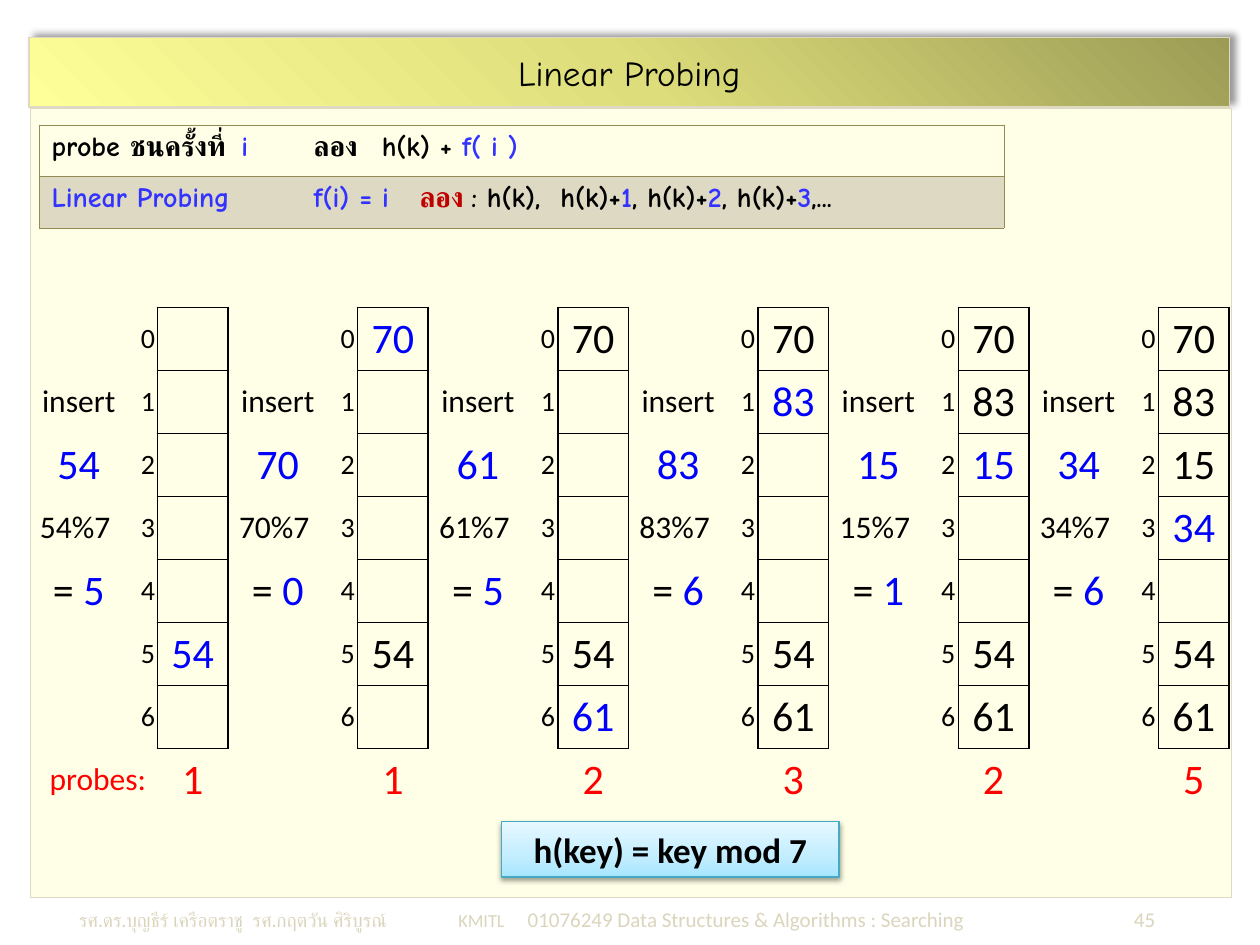
import dataclasses

import lxml.etree
import pptx
import pptx.dml.color
import pptx.enum.shapes
import pptx.enum.text
import pptx.oxml.ns
import pptx.util

Inches = pptx.util.Inches
Pt = pptx.util.Pt
qn = pptx.oxml.ns.qn
Align = pptx.enum.text.PP_ALIGN
Anchor = pptx.enum.text.MSO_ANCHOR


@dataclasses.dataclass
class Theme:
    black: str = "000000"
    blue: str = "0000FF"
    violet: str = "3333FF"
    red: str = "FF0000"
    dark_red: str = "C00000"
    cream: str = "FFFFE7"
    sand: str = "DDD9C3"
    olive: str = "948A54"
    footer: str = "DAD5BC"
    teal: str = "46AAC5"
    title_stops: tuple = ((0, "9C9C56"), (50, "DDDD7B"), (100, "FFFF99"))
    callout_stops: tuple = ((0, "A7E6FF"), (35, "C1EDFF"), (100, "E7F8FF"))
    body_font: str = "Calibri"
    display_font: str = "Comic Neue"
    footer_font: str = "Lato"
    heading: int = 20
    rule: int = 16
    value: int = 24
    label: int = 18
    index: int = 16
    no_grid: str = "{2D5ABB26-0587-4C30-8999-92F81FD0307C}"


def rgb(value):
    return pptx.dml.color.RGBColor.from_string(value)


def add_element(parent, tag, **attributes):
    values = {name: str(value) for name, value in attributes.items()}
    return lxml.etree.SubElement(parent, qn(tag), values)


def write(paragraph, text, size=18, color="000000", font="Calibri", bold=False, align=None):
    if align is not None:
        paragraph.alignment = align
    run = paragraph.add_run()
    run.text = text
    run.font.size = Pt(size)
    run.font.name = font
    run.font.bold = bold
    run.font.color.rgb = rgb(color)


def set_tabs(paragraph, stops):
    tabs = add_element(paragraph._p.get_or_add_pPr(), "a:tabLst")
    for position, alignment in stops:
        add_element(tabs, "a:tab", pos=Inches(position), algn=alignment)


class SlideBuilder:
    def __init__(self, slide, theme):
        self.slide = slide
        self.theme = theme

    def outline(self, shape, color, width):
        shape.line.color.rgb = rgb(color)
        shape.line.width = Pt(width)
        shape.shadow.inherit = False

    def gradient(self, shape, stops, angle):
        shape.fill.gradient()
        gradient = shape._element.spPr.find(qn("a:gradFill"))
        for child in list(gradient):
            gradient.remove(child)
        stop_list = add_element(gradient, "a:gsLst")
        for position, color in stops:
            stop = add_element(stop_list, "a:gs", pos=position * 1000)
            add_element(stop, "a:srgbClr", val=color)
        add_element(gradient, "a:lin", ang=angle * 60000, scaled=0)

    def shadow(self, shape, opacity, blur, distance, angle):
        effects = shape._element.spPr.find(qn("a:effectLst"))
        shadow = add_element(effects, "a:outerShdw", blurRad=Pt(blur), dist=Pt(distance),
                             dir=angle * 60000, algn="ctr", rotWithShape=0)
        color = add_element(shadow, "a:srgbClr", val=self.theme.black)
        add_element(color, "a:alpha", val=opacity * 1000)

    def rectangle(self, left, top, width, height):
        return self.slide.shapes.add_shape(
            pptx.enum.shapes.MSO_SHAPE.RECTANGLE,
            Inches(left), Inches(top), Inches(width), Inches(height))

    def panel(self, *box):
        shape = self.rectangle(*box)
        shape.fill.solid()
        shape.fill.fore_color.rgb = rgb(self.theme.cream)
        self.outline(shape, self.theme.sand, 0.25)

    def title(self, text, left, top, width, height):
        shape = self.slide.shapes.title
        shape.left, shape.top = Inches(left), Inches(top)
        shape.width, shape.height = Inches(width), Inches(height)
        self.gradient(shape, self.theme.title_stops, 135)
        self.outline(shape, self.theme.sand, 0.75)
        self.shadow(shape, 40, 4, 3, 315)
        shape.text_frame.vertical_anchor = Anchor.MIDDLE
        write(shape.text_frame.paragraphs[0], text, size=self.theme.heading,
              font=self.theme.display_font, align=Align.CENTER)

    def callout(self, text, *box):
        shape = self.rectangle(*box)
        self.gradient(shape, self.theme.callout_stops, 270)
        self.outline(shape, self.theme.teal, 0.75)
        self.shadow(shape, 38, 3.1, 1.6, 90)
        shape.text_frame.vertical_anchor = Anchor.MIDDLE
        write(shape.text_frame.paragraphs[0], text, size=self.theme.heading,
              bold=True, align=Align.CENTER)

    def footer(self, pieces, stops, left, top, width, height):
        box = self.slide.shapes.add_textbox(
            Inches(left), Inches(top), Inches(width), Inches(height))
        box.text_frame.word_wrap = True
        box.text_frame.vertical_anchor = Anchor.MIDDLE
        paragraph = box.text_frame.paragraphs[0]
        set_tabs(paragraph, stops)
        for text, size, font in pieces:
            write(paragraph, text, size=size, font=font, color=self.theme.footer)

    def table(self, left, top, widths, heights):
        frame = self.slide.shapes.add_table(
            len(heights), len(widths), Inches(left), Inches(top),
            Inches(sum(widths)), Inches(sum(heights)))
        table = frame.table
        table.first_row = table.horz_banding = False
        table._tbl.tblPr.find(qn("a:tableStyleId")).text = self.theme.no_grid
        for column, width in zip(table.columns, widths):
            column.width = Inches(width)
        for row, height in zip(table.rows, heights):
            row.height = Inches(height)
        return table

    def border(self, cell, color, width):
        properties = cell._tc.get_or_add_tcPr()
        for side in ("a:lnL", "a:lnR", "a:lnT", "a:lnB"):
            line = add_element(properties, side, w=Pt(width))
            add_element(add_element(line, "a:solidFill"), "a:srgbClr", val=color)

    def cell(self, cell, pieces, align=Align.CENTER, left=0, right=0):
        cell.margin_left, cell.margin_right = Inches(left), Inches(right)
        cell.margin_top = cell.margin_bottom = Inches(0.04)
        cell.vertical_anchor = Anchor.MIDDLE
        for text, size, color in pieces:
            write(cell.text_frame.paragraphs[0], text, size=size, color=color, align=align)

    def rules(self, rows, left, top):
        table = self.table(left, top, [7.66], [0.41] * len(rows))
        for index, (pieces, stops, fill) in enumerate(rows):
            cell = table.cell(index, 0)
            self.border(cell, self.theme.olive, 0.25)
            if fill:
                cell.fill.solid()
                cell.fill.fore_color.rgb = rgb(fill)
            paragraph = cell.text_frame.paragraphs[0]
            set_tabs(paragraph, [(stop, "l") for stop in stops])
            for text, color in pieces:
                write(paragraph, text, size=self.theme.rule, color=color,
                      font=self.theme.display_font, bold=True)

    def probing(self, keys, size, left, top):
        theme = self.theme
        table = self.table(left, top, [0.79, 0.23, 0.56] * len(keys), [0.5] * (size + 1))
        slots = [None] * size
        for step, key in enumerate(keys):
            home = key % size
            probes = 1
            while slots[(home + probes - 1) % size] is not None:
                probes += 1
            slots[(home + probes - 1) % size] = key
            first = step * 3
            notes = {
                1: [("insert", theme.label, theme.black)],
                2: [(str(key), theme.value, theme.blue)],
                3: [(f"{key}%{size} ", theme.label, theme.black)],
                4: [("= ", theme.value, theme.black), (str(home), theme.value, theme.blue)],
            }
            for row, slot in enumerate(slots):
                self.cell(table.cell(row, first), notes.get(row, []))
                self.cell(table.cell(row, first + 1),
                          [(str(row), theme.index, theme.black)], left=0.08)
                color = theme.blue if slot == key else theme.black
                value = [] if slot is None else [(str(slot), theme.value, color)]
                self.cell(table.cell(row, first + 2), value)
                self.border(table.cell(row, first + 2), theme.black, 1)
            self.cell(table.cell(size, first + 2), [(str(probes), theme.value, theme.red)])
        table.cell(size, 0).merge(table.cell(size, 1))
        self.cell(table.cell(size, 0), [("probes:", theme.label, theme.red)],
                  align=Align.RIGHT, right=0.09)


def main():
    presentation = pptx.Presentation()
    presentation.slide_width, presentation.slide_height = Inches(10), Inches(7.5)
    theme = Theme()
    builder = SlideBuilder(presentation.slides.add_slide(presentation.slide_layouts[5]), theme)
    black, violet = theme.black, theme.violet

    builder.panel(0.24, 0.86, 9.53, 6.26)
    builder.footer(
        [("รศ.ดร.บุญธีร์ เครือตราชู  รศ.กฤตวัน ศิริบูรณ์", 11, theme.footer_font),
         ("\tKMITL", 10.5, theme.body_font),
         ("\t01076249 Data Structures & Algorithms : Searching\t45", 12, theme.body_font)],
        [(3.01, "l"), (3.56, "l"), (8.54, "r")], 0.53, 7.11, 8.98, 0.37)
    builder.title("Linear Probing", 0.23, 0.3, 9.53, 0.55)
    builder.callout("h(key) = key mod 7", 3.98, 6.52, 2.68, 0.44)

    probe_rule = [("probe ชนครั้งที่  ", black), ("i", violet),
                  ("\tลอง\th(k) + ", black), ("f( i )", violet)]
    linear_rule = [("Linear Probing\tf(i) = i", violet), ("\tลอง", theme.dark_red),
                   (" : h(k),  h(k)+", black), ("1", violet)]
    for offset in "23":
        linear_rule += [(", h(k)+", black), (offset, violet)]
    linear_rule.append((",...", black))
    builder.rules([(probe_rule, (2.08, 2.62), None),
                   (linear_rule, (2.08, 2.92), theme.sand)], 0.31, 0.99)
    builder.probing([54, 70, 61, 83, 15, 34], 7, 0.23, 2.44)
    presentation.save("out.pptx")


if __name__ == "__main__":
    main()
